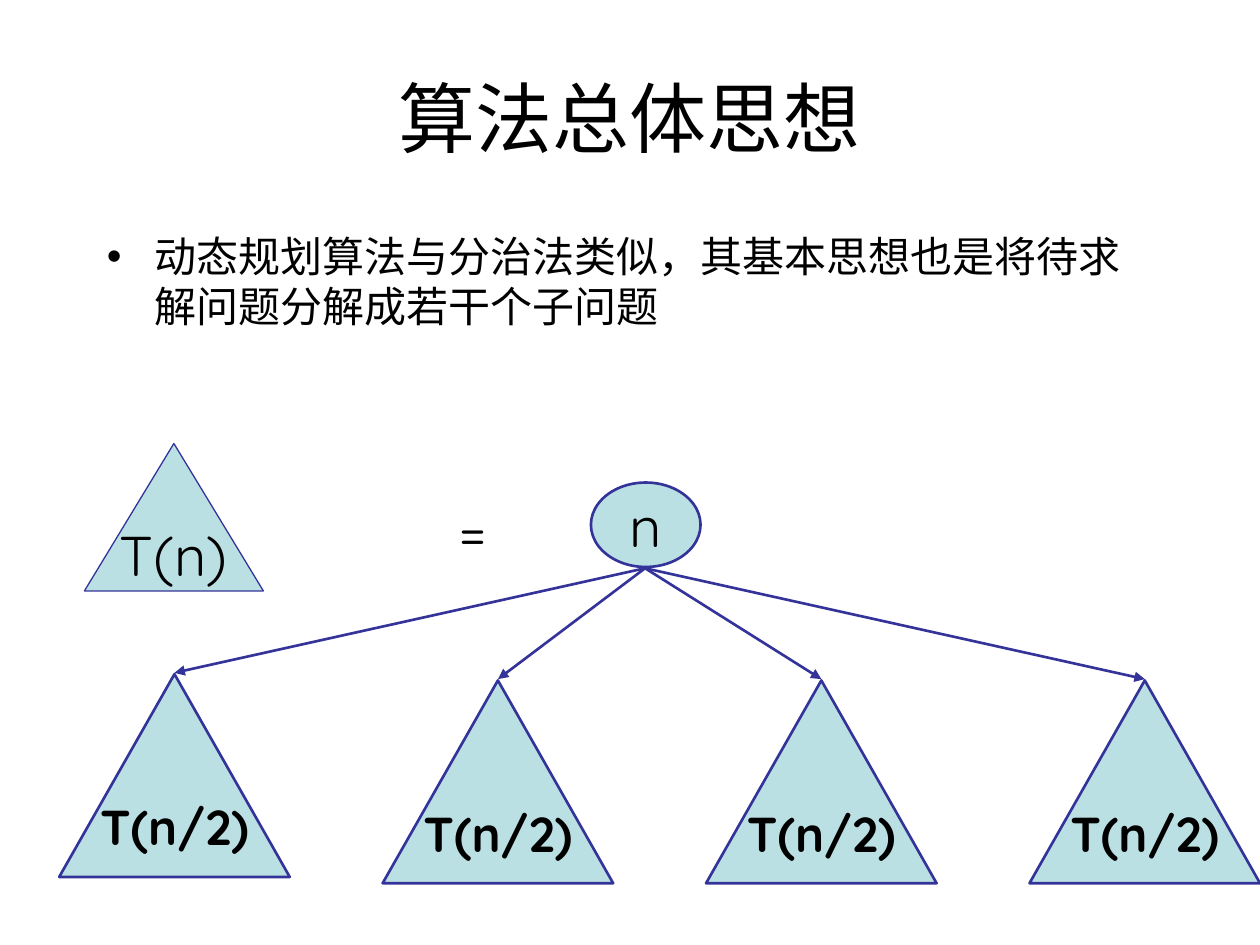
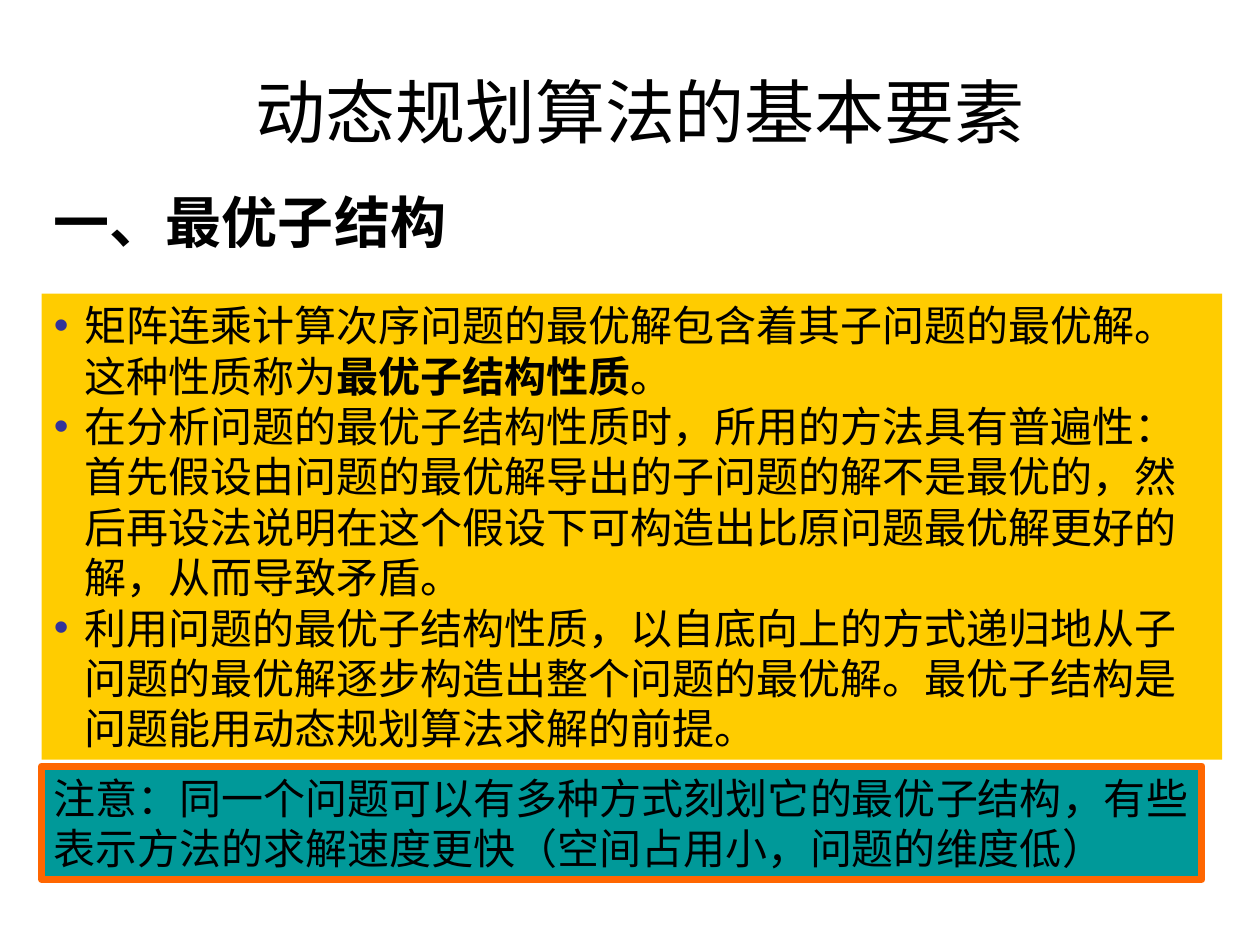
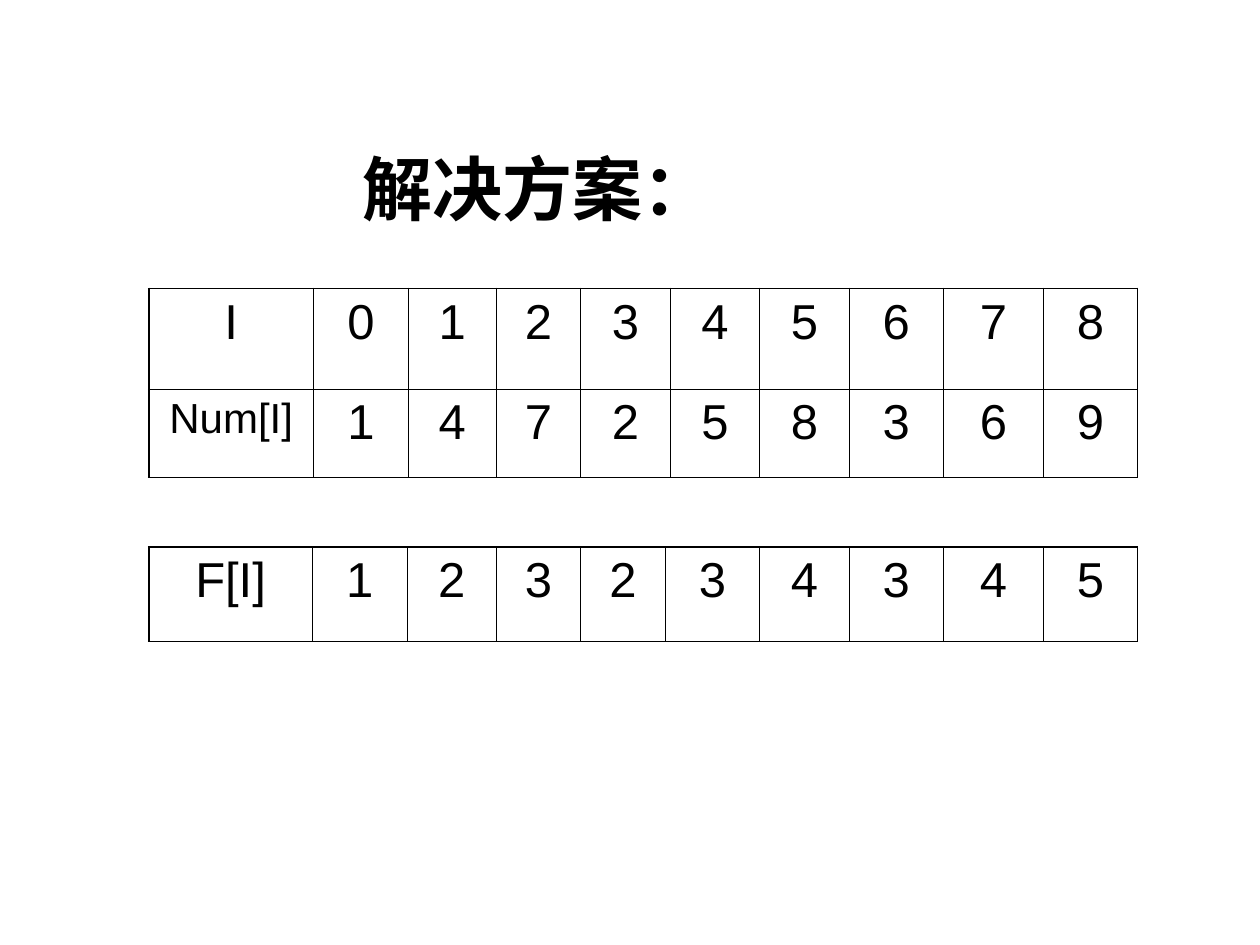
"""Build three slides on dynamic programming: idea, key elements and a worked solution."""
from lxml import etree
from pptx import Presentation
from pptx.dml.color import RGBColor
from pptx.enum.shapes import MSO_CONNECTOR, MSO_SHAPE
from pptx.enum.text import MSO_ANCHOR, PP_ALIGN
from pptx.oxml.ns import qn
from pptx.util import Inches, Pt

STRAIGHT = MSO_CONNECTOR.STRAIGHT
OVAL, RECTANGLE, TRIANGLE = MSO_SHAPE.OVAL, MSO_SHAPE.RECTANGLE, MSO_SHAPE.ISOSCELES_TRIANGLE
TOP, MIDDLE = MSO_ANCHOR.TOP, MSO_ANCHOR.MIDDLE
LEFT, CENTER = PP_ALIGN.LEFT, PP_ALIGN.CENTER

BLACK = RGBColor(0x00, 0x00, 0x00)
NAVY = RGBColor(0x33, 0x33, 0x99)
PALE_BLUE = RGBColor(0xBB, 0xE0, 0xE3)
YELLOW = RGBColor(0xFF, 0xCC, 0x00)
TEAL = RGBColor(0x00, 0x99, 0x99)
ORANGE = RGBColor(0xFF, 0x66, 0x00)

ARIAL, HAN, ROUNDED = "Arial", "Noto Sans CJK SC", "Quicksand"


def write(frame, paragraphs, size, font=ARIAL, bold=False, align=LEFT, anchor=TOP,
          wrap=True, before=0, bullet=None, indent=0):
    """Fill a text frame; each paragraph is a tuple of run texts."""
    frame.word_wrap = wrap
    frame.vertical_anchor = anchor
    for index, pieces in enumerate(paragraphs):
        paragraph = frame.paragraphs[0] if index == 0 else frame.add_paragraph()
        paragraph.alignment = align
        paragraph.space_before = Pt(before)
        for piece in pieces:
            run = paragraph.add_run()
            run.text = piece
            run.font.size, run.font.bold, run.font.name = Pt(size), bold, font
            run.font.color.rgb = BLACK
            etree.SubElement(run.font._element, qn("a:ea"), typeface=HAN)
        if bullet is not None:
            properties = paragraph._p.get_or_add_pPr()
            properties.set("marL", str(Inches(indent)))
            properties.set("indent", str(-Inches(indent)))
            bullet_color = etree.SubElement(properties, qn("a:buClr"))
            etree.SubElement(bullet_color, qn("a:srgbClr"), val=str(bullet))
            etree.SubElement(properties, qn("a:buFont"), typeface=ARIAL)
            etree.SubElement(properties, qn("a:buChar"), char="•")


def draw(slide, kind, box, fill, line=None, width=1.5):
    """Add a flat preset shape and return its text frame."""
    shape = slide.shapes.add_shape(kind, *map(Inches, box))
    shape.shadow.inherit = False
    shape.fill.solid()
    shape.fill.fore_color.rgb = fill
    if line is None:
        shape.line.fill.background()
    else:
        shape.line.color.rgb = line
        shape.line.width = Pt(width)
    return shape.text_frame


prs = Presentation()
prs.slide_width, prs.slide_height = Inches(10), Inches(7.5)

titles = [
    ("算法总体思想", (0.5, 0.3, 9, 1.25), 44, False),
    ("动态规划算法的基本要素", (0.83, 0.25, 8.5, 1.25), 40, False),
    ("解决方案：", (1.48, 1.11, 5.57, 0.76), 40, True),
]
slides = []
for title, box, size, bold in titles:
    slide = prs.slides.add_slide(prs.slide_layouts[6])
    heading = slide.shapes.add_textbox(*map(Inches, box)).text_frame
    write(heading, [(title,)], size, bold=bold, align=CENTER, anchor=MIDDLE)
    slides.append(slide)
idea, elements, solution = slides

summary = idea.shapes.add_textbox(Inches(0.75), Inches(1.78), Inches(8.5), Inches(4.5))
write(summary.text_frame, [("动态规划算法与分治法类似，其基本思想也是将待求解问题分解成若干个子问题",)],
      24, font=HAN, before=6, bullet=BLACK, indent=0.38)

root = draw(idea, OVAL, (4.69, 3.83, 0.87, 0.67), PALE_BLUE, NAVY)
write(root, [("n",)], 32, ROUNDED, align=CENTER, anchor=MIDDLE, wrap=False)

subproblem_width = 1.83
for index, top in enumerate((5.35, 5.4, 5.4, 5.4)):
    left = 0.47 + 2.567 * index
    branch = idea.shapes.add_connector(
        STRAIGHT, Inches(5.12), Inches(4.51), Inches(left + subproblem_width / 2), Inches(top - 0.01))
    branch.line.color.rgb = NAVY
    branch.line.width = Pt(1.5)
    etree.SubElement(branch.line._get_or_add_ln(), qn("a:tailEnd"), type="triangle")
    etree.SubElement(branch._element.spPr, qn("a:effectLst"))
    subproblem = draw(idea, TRIANGLE, (left, top, subproblem_width, 1.61), PALE_BLUE, NAVY)
    write(subproblem, [("T(n/2)",)], 28, ROUNDED, True, CENTER, MIDDLE, wrap=False)

problem = draw(idea, TRIANGLE, (0.67, 3.52, 1.42, 1.17), PALE_BLUE, NAVY, 0.75)
write(problem, [("T(n)",)], 32, ROUNDED, align=CENTER, anchor=MIDDLE, wrap=False)
equals = idea.shapes.add_textbox(Inches(3.17), Inches(3.88), Inches(1.17), Inches(0.64))
write(equals.text_frame, [("=",)], 32, ROUNDED, align=CENTER, before=20)

section = elements.shapes.add_textbox(Inches(0.33), Inches(1.5), Inches(8.5), Inches(0.58))
write(section.text_frame, [("一、最优子结构",)], 32, bold=True)
section.text_frame.paragraphs[0].line_spacing = 0.9

properties_panel = draw(elements, RECTANGLE, (0.33, 2.33, 9.37, 3.7), YELLOW)
write(properties_panel, [
    ("矩阵连乘计算次序问题的最优解包含着其子问题的最优解。这种性质称为", "最优子结构性质", "。"),
    ("在分析问题的最优子结构性质时，所用的方法具有普遍性：首先假设由问题的最优解导出的子问题的解不是最优的，"
     "然后再设法说明在这个假设下可构造出比原问题最优解更好的解，从而导致矛盾。",),
    ("利用问题的最优子结构性质，以自底向上的方式递归地从子问题的最优解逐步构造出整个问题的最优解。"
     "最优子结构是问题能用动态规划算法求解的前提。",),
], 24, bullet=NAVY, indent=0.24)
properties_panel.paragraphs[0].runs[1].font.bold = True

remark = draw(elements, RECTANGLE, (0.33, 6.08, 9.21, 0.9), TEAL, ORANGE, 4)
write(remark, [("注意：同一个问题可以有多种方式刻划它的最优子结构，有些表示方法的求解速度更快（空间占用小，问题的维度低）",)], 24)

tables = [
    (2.29, [0.8, 0.7], [1.31, 0.75, 0.7, 0.67, 0.71, 0.71, 0.71, 0.75, 0.79, 0.75],
     [["I", *"012345678"], ["Num[I]", *"147258369"]]),
    (4.34, [0.75], [1.3, 0.75, 0.71, 0.67, 0.67, 0.75, 0.71, 0.75, 0.79, 0.75],
     [["F[I]", *"123234345"]]),
]
for top, heights, widths, values in tables:
    last_row, last_column = len(heights) - 1, len(widths) - 1
    table = solution.shapes.add_table(len(heights), len(widths), Inches(1.18), Inches(top),
                                      Inches(sum(widths)), Inches(sum(heights))).table
    table.first_row = table.horz_banding = False
    for column, width in zip(table.columns, widths):
        column.width = Inches(width)
    for r, height in enumerate(heights):
        table.rows[r].height = Inches(height)
        for c, value in enumerate(values[r]):
            cell = table.cell(r, c)
            size = 24 if value == "Num[I]" else 28
            write(cell.text_frame, [(value,)], size, align=CENTER, before=size / 4)
            outer_edges = {"a:lnL": c == 0, "a:lnR": c == last_column,
                           "a:lnT": r == 0, "a:lnB": r == last_row}
            cell_properties = cell._tc.get_or_add_tcPr()
            for edge, is_outer in outer_edges.items():
                border = etree.SubElement(cell_properties, qn(edge), w=str(Pt(1.08 if is_outer else 0.45)))
                border_fill = etree.SubElement(border, qn("a:solidFill"))
                etree.SubElement(border_fill, qn("a:srgbClr"), val=str(BLACK))
            cell.fill.background()

prs.save("out.pptx")
